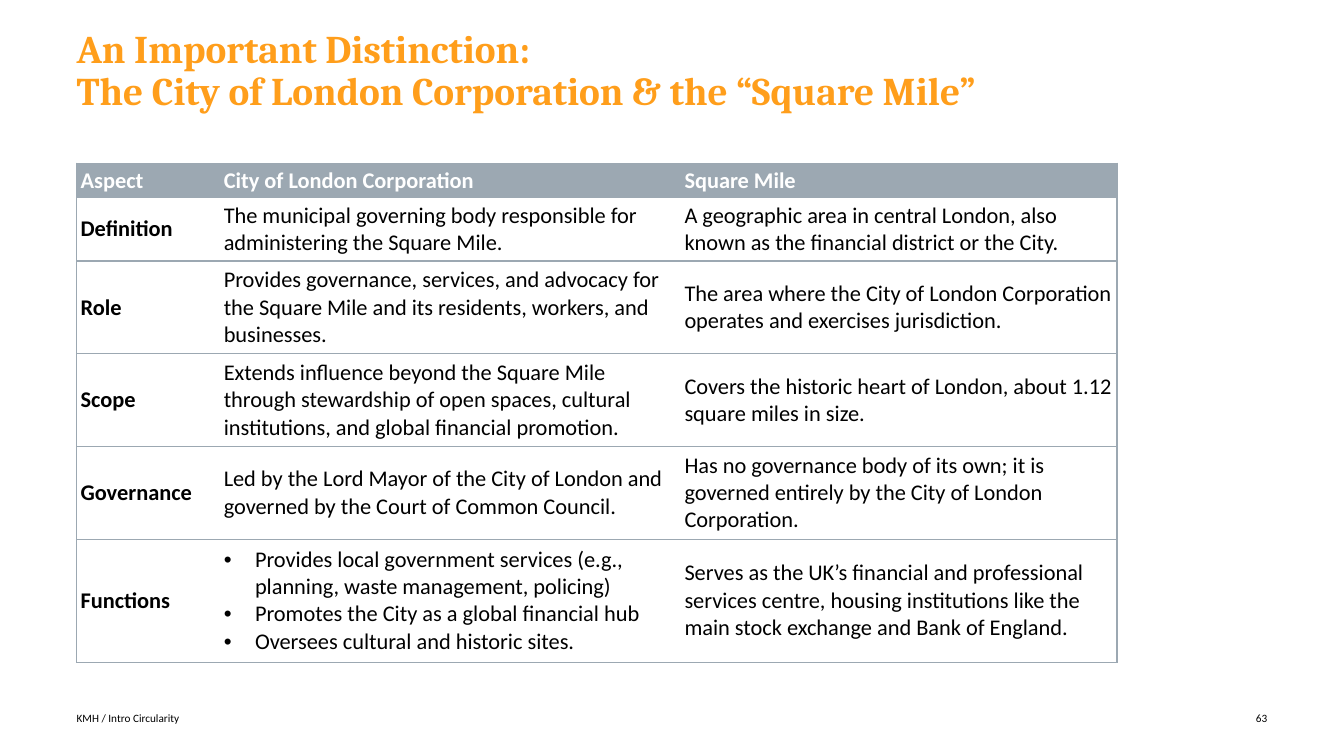
from lxml.etree import SubElement
from pptx import Presentation
from pptx.dml.color import RGBColor
from pptx.enum.text import MSO_ANCHOR as ANCHOR, MSO_AUTO_SIZE as AUTO, PP_ALIGN as ALIGN
from pptx.oxml import parse_xml
from pptx.oxml.ns import nsdecls, qn
from pptx.util import Pt

# Content
TITLE = "An Important Distinction: \vThe City of London Corporation & the “Square Mile”"
FOOTER, PAGE = "KMH / Intro Circularity", "63"
ROWS = [
    ("Aspect", "City of London Corporation", "Square Mile"),
    ("Definition",
     "The municipal governing body responsible for administering the Square Mile.",
     "A geographic area in central London, also known as the financial district or the City."),
    ("Role",
     "Provides governance, services, and advocacy for the Square Mile and its residents, "
     "workers, and businesses.",
     "The area where the City of London Corporation operates and exercises jurisdiction."),
    ("Scope",
     "Extends influence beyond the Square Mile through stewardship of open spaces, cultural "
     "institutions, and global financial promotion.",
     "Covers the historic heart of London, about 1.12 square miles in size."),
    ("Governance",
     "Led by the Lord Mayor of the City of London and governed by the Court of Common Council.",
     "Has no governance body of its own; it is governed entirely by the City of London "
     "Corporation."),
    ("Functions",
     ["Provides local government services (e.g., planning, waste management, policing)",
      "Promotes the City as a global financial hub",
      "Oversees cultural and historic sites."],
     "Serves as the UK’s financial and professional services centre, housing institutions like "
     "the main stock exchange and Bank of England."),
]

# Layout in px, 100 to the inch
PX = 9144
LEFT = 76
COL_W = [142, 457, 433]
ROW_H = [34, 63, 92, 92, 92, 122]
COLORS = {"title": "FF9E1B", "grey": "9CA8B2", "white": "FFFFFF", "black": "000000"}


def px(*values):
    return [v * PX for v in values]


def write(tf, text, size, color="black", font="Calibri", bold=False, align=ALIGN.LEFT,
          spacing=None):
    """Fill a text frame; a list of strings becomes a bulleted list."""
    bulleted = isinstance(text, list)
    for i, line in enumerate(text if bulleted else [text]):
        p = tf.paragraphs[0] if i == 0 else tf.add_paragraph()
        p.text = line
        p.alignment = align
        if spacing:
            p.line_spacing = spacing
        if bulleted:
            pPr = p._p.get_or_add_pPr()
            pPr.set("marL", str(31 * PX))
            pPr.set("indent", str(-31 * PX))
            SubElement(pPr, qn("a:buFont")).set("typeface", "Arial")
            SubElement(pPr, qn("a:buChar")).set("char", "•")
        for r in p.runs:
            r.font.name, r.font.size, r.font.bold = font, Pt(size), bold
            r.font.color.rgb = RGBColor.from_string(COLORS[color])


def set_frame(tf, anchor):
    tf.margin_left = tf.margin_right = tf.margin_top = tf.margin_bottom = 0
    tf.word_wrap, tf.auto_size, tf.vertical_anchor = True, AUTO.NONE, anchor


def set_borders(cell, visible):
    tcPr = cell._tc.get_or_add_tcPr()
    for i, side in enumerate("LRTB"):
        fill = (f'<a:solidFill><a:srgbClr val="{COLORS["grey"]}"/></a:solidFill>'
                if side in visible else "<a:noFill/>")
        tcPr.insert(i, parse_xml(f'<a:ln{side} {nsdecls("a")} w="12700">{fill}</a:ln{side}>'))


prs = Presentation()
prs.slide_width, prs.slide_height = px(1333, 750)
s = prs.slides.add_slide(prs.slide_layouts[5])

# Title
title = s.shapes.title
title.left, title.top, title.width, title.height = px(LEFT, 29, 976, 87)
set_frame(title.text_frame, ANCHOR.TOP)
write(title.text_frame, TITLE, 28, color="title", font="Cambria", bold=True, spacing=0.9)

# Comparison table
table = s.shapes.add_table(len(ROWS), len(COL_W),
                           *px(LEFT, 162, sum(COL_W), sum(ROW_H))).table
table.first_row = table.horz_banding = False
for col, w in zip(table.columns, COL_W):
    col.width = w * PX
for r, (row, h) in enumerate(zip(ROWS, ROW_H)):
    table.rows[r].height = h * PX
    for c, text in enumerate(row):
        cell = table.cell(r, c)
        header = r == 0
        cell.margin_left = cell.margin_right = 4 * PX
        cell.margin_top = cell.margin_bottom = 2 * PX
        cell.vertical_anchor = ANCHOR.MIDDLE
        cell.fill.solid()
        cell.fill.fore_color.rgb = RGBColor.from_string(COLORS["grey" if header else "white"])
        set_borders(cell, "TB" + {0: "L", len(COL_W) - 1: "R"}.get(c, ""))
        write(cell.text_frame, text, 16, color="white" if header else "black",
              bold=header or c == 0)

# Footer and page number
for text, left, width, align in [(FOOTER, LEFT, 559, ALIGN.LEFT), (PAGE, 1202, 55, ALIGN.RIGHT)]:
    tf = s.shapes.add_textbox(*px(left, 704, width, 16)).text_frame
    set_frame(tf, ANCHOR.MIDDLE)
    write(tf, text, 8, align=align)

prs.save("out.pptx")
